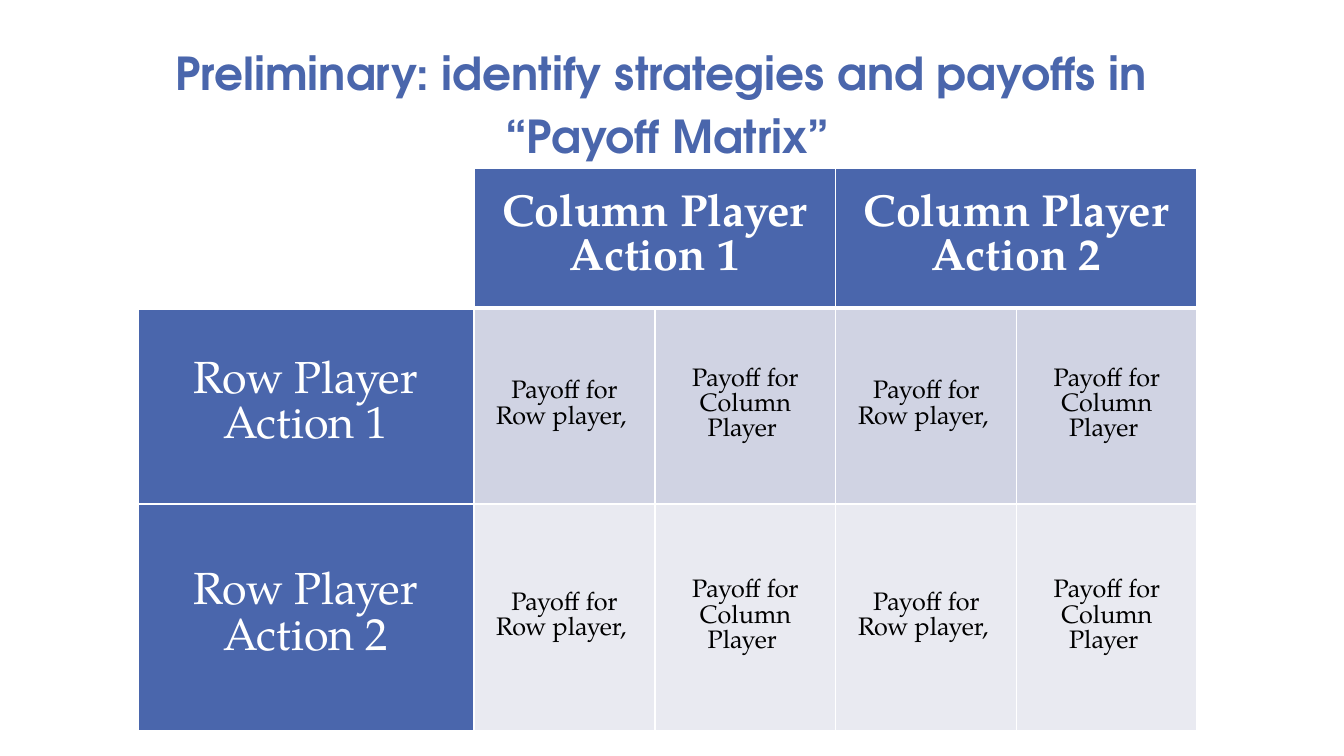
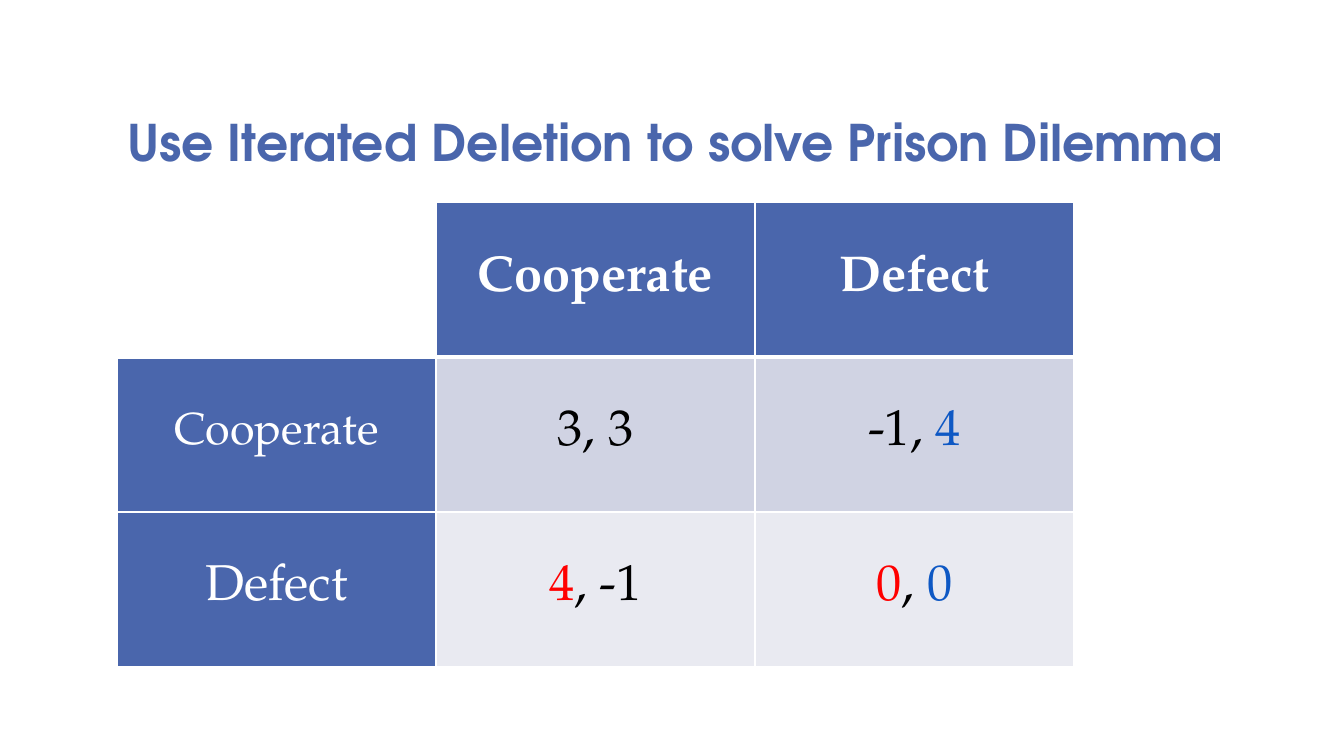
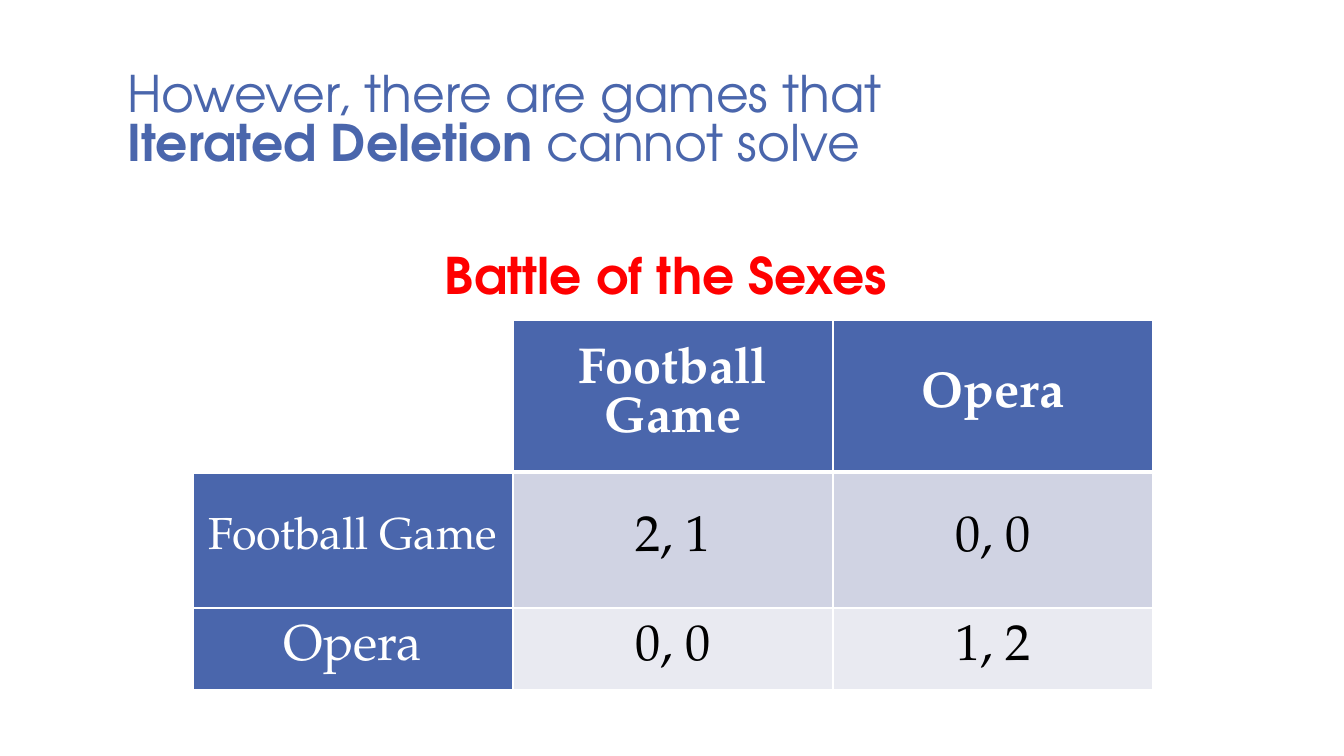
from dataclasses import dataclass

from lxml.etree import SubElement
from pptx import Presentation
from pptx.dml.color import RGBColor
from pptx.enum.text import MSO_ANCHOR, MSO_AUTO_SIZE, PP_ALIGN
from pptx.oxml.ns import qn
from pptx.slide import Slide
from pptx.table import _Cell
from pptx.text.text import TextFrame, _Paragraph
from pptx.util import Emu, Length, Pt

# Shared look
EMU_PER_PX = 914400 / 100.8
TITLE_FONT = "TeX Gyre Adventor"
TABLE_FONT = "TeX Gyre Pagella"
BLUE = "4A66AC"
WHITE = "FFFFFF"
BLACK = "000000"
RED = "FF0000"
BRIGHT_BLUE = "0E58C4"
BAND_FILLS = ("D0D3E3", "E9EAF1")
TITLE_ONLY = 5


@dataclass(frozen=True)
class Span:
    text: str
    color: str | None = None
    bold: bool | None = None
    break_before: bool = False


Spans = tuple[Span, ...]


@dataclass(frozen=True)
class TextStyle:
    font: str
    size: float
    color: str
    bold: bool = False
    align: PP_ALIGN = PP_ALIGN.CENTER
    line_spacing: float | Length | None = None


@dataclass(frozen=True)
class Box:
    left: int
    top: int
    width: int
    height: int

    def emu(self) -> tuple[Emu, Emu, Emu, Emu]:
        return px(self.left), px(self.top), px(self.width), px(self.height)


@dataclass(frozen=True)
class PayoffTable:
    left: int
    top: int
    column_widths: tuple[int, ...]
    row_heights: tuple[int, ...]
    headers: tuple[str, ...]
    labels: tuple[str, ...]
    payoffs: tuple[tuple[Spans, ...], ...]
    header_size: int
    label_sizes: tuple[int, ...]
    payoff_size: int


def px(value: float) -> Emu:
    return Emu(round(value * EMU_PER_PX))


def rgb(color: str) -> RGBColor:
    return RGBColor.from_string(color)


# Text
def write(para: _Paragraph, spans: Spans, style: TextStyle) -> None:
    para.alignment = style.align
    if style.line_spacing is not None:
        para.line_spacing = style.line_spacing
    para.font.name = style.font
    para.font.size = Pt(style.size)
    para.font.bold = style.bold
    para.font.color.rgb = rgb(style.color)
    for span in spans:
        if span.break_before:
            para.add_line_break()
        run = para.add_run()
        run.text = span.text
        if span.color:
            run.font.color.rgb = rgb(span.color)
        if span.bold is not None:
            run.font.bold = span.bold


def fill_frame(frame: TextFrame, spans: Spans, style: TextStyle) -> None:
    frame.word_wrap = True
    frame.auto_size = MSO_AUTO_SIZE.NONE
    frame.vertical_anchor = MSO_ANCHOR.BOTTOM
    write(frame.paragraphs[0], spans, style)


def add_titled_page(deck: Presentation, box: Box, spans: Spans, style: TextStyle) -> Slide:
    page = deck.slides.add_slide(deck.slide_layouts[TITLE_ONLY])
    title = page.shapes.title
    title.left, title.top, title.width, title.height = box.emu()
    fill_frame(title.text_frame, spans, style)
    return page


# Tables
def set_borders(cell: _Cell, row: int) -> None:
    properties = cell._tc.get_or_add_tcPr()
    widths = {"lnL": 1, "lnR": 1, "lnT": 3 if row == 1 else 1, "lnB": 3 if row == 0 else 1}
    for side, width in widths.items():
        line = SubElement(properties, qn(f"a:{side}"), w=str(Pt(width)))
        SubElement(SubElement(line, qn("a:solidFill")), qn("a:srgbClr"), val=WHITE)


def fill_cell(cell: _Cell, spans: Spans, style: TextStyle, fill: str) -> None:
    cell.fill.solid()
    cell.fill.fore_color.rgb = rgb(fill)
    cell.vertical_anchor = MSO_ANCHOR.MIDDLE
    write(cell.text_frame.paragraphs[0], spans, style)


def add_payoff_table(page: Slide, data: PayoffTable) -> None:
    box = Box(data.left, data.top, sum(data.column_widths), sum(data.row_heights))
    table = page.shapes.add_table(
        len(data.row_heights), len(data.column_widths), *box.emu()
    ).table
    table.horz_banding = False
    for column, width in zip(table.columns, data.column_widths):
        column.width = px(width)
    for row, height in zip(table.rows, data.row_heights):
        row.height = px(height)
    for row_index, row in enumerate(table.rows):
        for cell in row.cells:
            set_borders(cell, row_index)
    table.cell(0, 0).fill.background()

    # Column player's actions, each over an equal share of the columns
    header_style = TextStyle(TABLE_FONT, data.header_size, WHITE, bold=True)
    share = (len(data.column_widths) - 1) // len(data.headers)
    for index, header in enumerate(data.headers):
        first = 1 + index * share
        cell = table.cell(0, first)
        if share > 1:
            cell.merge(table.cell(0, first + share - 1))
        fill_cell(cell, (Span(header),), header_style, BLUE)

    # Row player's actions and the payoffs
    payoff_style = TextStyle(TABLE_FONT, data.payoff_size, BLACK)
    body = zip(data.labels, data.label_sizes, data.payoffs, BAND_FILLS)
    for row_index, (label, size, payoffs, band) in enumerate(body, start=1):
        label_style = TextStyle(TABLE_FONT, size, WHITE)
        fill_cell(table.cell(row_index, 0), (Span(label),), label_style, BLUE)
        for column_index, spans in enumerate(payoffs, start=1):
            fill_cell(table.cell(row_index, column_index), spans, payoff_style, band)


# Slides
def add_matrix_page(deck: Presentation) -> None:
    page = add_titled_page(
        deck,
        Box(88, 50, 1159, 118),
        (
            Span("Preliminary: identify strategies and payoffs in "),
            Span("“Payoff Matrix”", break_before=True),
        ),
        TextStyle(TITLE_FONT, 32.4, BLUE, bold=True, line_spacing=Pt(45)),
    )
    pair = ((Span("Payoff for Row player, "),), (Span("Payoff for Column Player "),))
    add_payoff_table(page, PayoffTable(
        left=138, top=168,
        column_widths=(336, 181, 181, 181, 180), row_heights=(140, 196, 227),
        headers=("Column Player Action 1", "Column Player Action 2"),
        labels=("Row Player Action 1", "Row Player Action 2"),
        payoffs=(pair * 2,) * 2,
        header_size=32, label_sizes=(32, 32), payoff_size=18,
    ))


def add_dilemma_page(deck: Presentation, title_style: TextStyle) -> None:
    page = add_titled_page(
        deck,
        Box(117, 58, 1159, 118),
        (Span("Use Iterated Deletion to solve Prison Dilemma", bold=True),),
        title_style,
    )
    actions = ("Cooperate", "Defect")
    add_payoff_table(page, PayoffTable(
        left=117, top=202,
        column_widths=(319,) * 3, row_heights=(155,) * 3,
        headers=actions, labels=actions,
        payoffs=(
            ((Span("3, 3"),), (Span("-1, "), Span("4", BRIGHT_BLUE))),
            (
                (Span("4", RED), Span(", -1")),
                (Span("0", RED), Span(", "), Span("0", BRIGHT_BLUE)),
            ),
        ),
        header_size=36, label_sizes=(32, 36), payoff_size=36,
    ))


def add_battle_page(deck: Presentation, title_style: TextStyle) -> None:
    page = add_titled_page(
        deck,
        Box(117, 58, 958, 118),
        (
            Span("However, there are games that "),
            Span("Iterated Deletion", bold=True),
            Span(" cannot solve"),
        ),
        title_style,
    )
    caption = page.shapes.add_textbox(*Box(396, 176, 540, 134).emu())
    fill_frame(
        caption.text_frame,
        (Span("Battle of the Sexes"),),
        TextStyle(TITLE_FONT, 36, RED, bold=True, line_spacing=Pt(40)),
    )
    actions = ("Football Game", "Opera")
    add_payoff_table(page, PayoffTable(
        left=193, top=320,
        column_widths=(320,) * 3, row_heights=(152, 136, 82),
        headers=actions, labels=actions,
        payoffs=(
            ((Span("2, 1"),), (Span("0, 0"),)),
            ((Span("0, 0"),), (Span("1, 2"),)),
        ),
        header_size=36, label_sizes=(32, 36), payoff_size=36,
    ))


def main() -> None:
    deck = Presentation()
    deck.slide_width, deck.slide_height = px(1344), px(756)
    title_style = TextStyle(TITLE_FONT, 36, BLUE, align=PP_ALIGN.LEFT, line_spacing=0.8)
    add_matrix_page(deck)
    add_dilemma_page(deck, title_style)
    add_battle_page(deck, title_style)
    deck.save("out.pptx")


if __name__ == "__main__":
    main()
